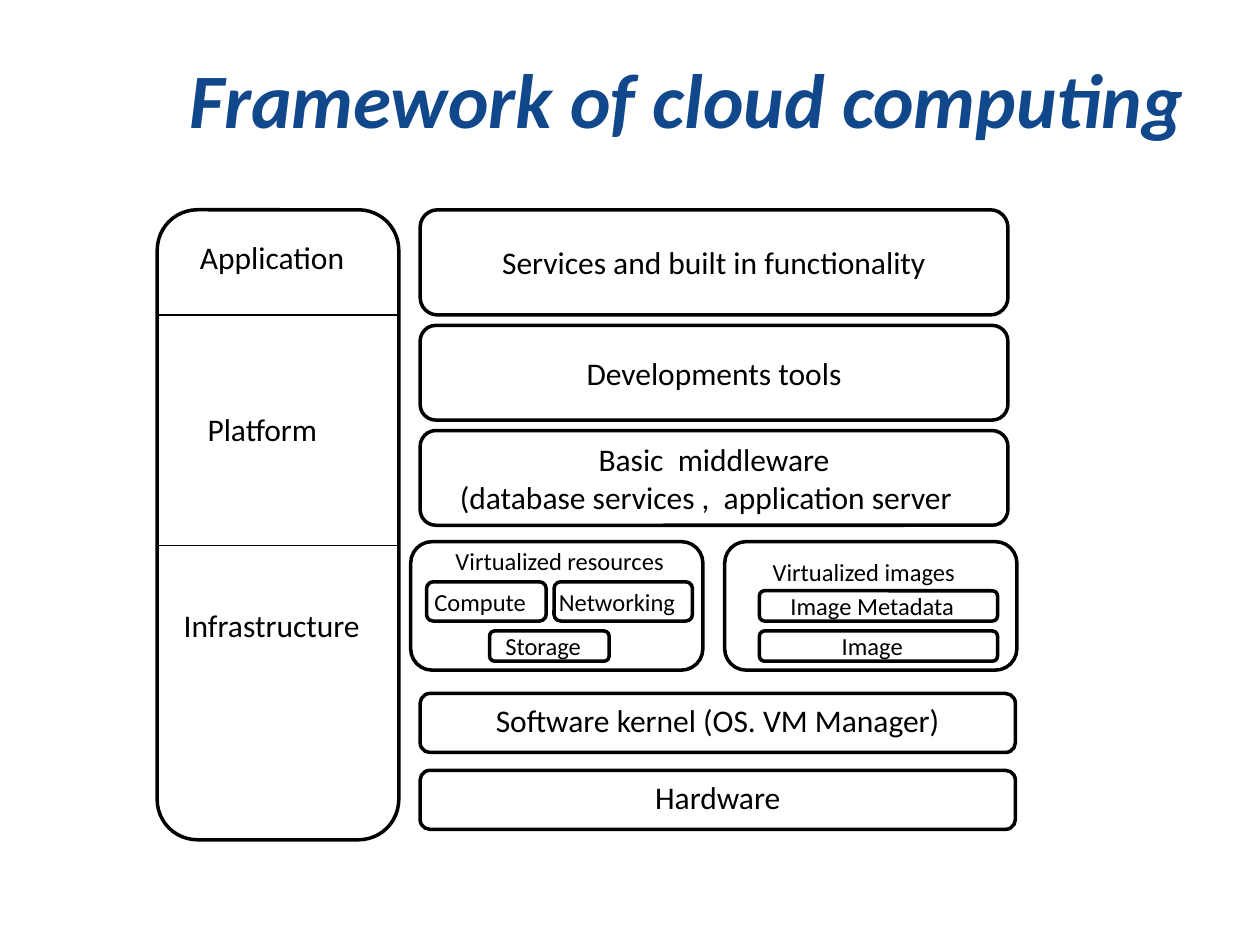
"""Build the cloud computing framework slide."""
import pptx
import pptx.dml.color
import pptx.enum.shapes
import pptx.enum.text
import pptx.util
from lxml import etree
from pptx.enum.shapes import MSO_CONNECTOR, MSO_SHAPE
from pptx.enum.text import MSO_ANCHOR, MSO_AUTO_SIZE, PP_ALIGN
from pptx.oxml.ns import qn
from pptx.util import Cm

BLACK = pptx.dml.color.RGBColor(0x00, 0x00, 0x00)
WHITE = pptx.dml.color.RGBColor(0xFF, 0xFF, 0xFF)
BLUE = pptx.dml.color.RGBColor(0x11, 0x47, 0x8B)
PLAIN = (0.25, 0.13, 0.25, 0.13)
SHIFTED = (0, 0.13, 0.25, 0.13)
RAISED = (0.25, 0, 0.25, 0.13)


def write(tf, text, size=18, color=BLACK, align=PP_ALIGN.CENTER,
          bold=False, italic=False, insets=PLAIN, wrap=True, last_indent=0):
    tf.word_wrap = wrap
    tf.auto_size = MSO_AUTO_SIZE.NONE
    tf.vertical_anchor = MSO_ANCHOR.MIDDLE
    tf.margin_left, tf.margin_top, tf.margin_right, tf.margin_bottom = map(Cm, insets)
    for i, line in enumerate(text.split("\n")):
        p = tf.add_paragraph() if i else tf.paragraphs[0]
        p.alignment = align
        r = p.add_run()
        r.text = line
        r.font.name = "Calibri"
        r.font.size = pptx.util.Pt(size)
        r.font.bold = bold
        r.font.italic = italic
        r.font.color.rgb = color
    if last_indent:
        p._p.get_or_add_pPr().set("marR", str(Cm(last_indent)))


class Diagram:
    def __init__(self, slide, line_color=BLACK):
        self.s = slide
        self.line_color = line_color

    def title(self, text, x, y, w, h):
        sp = self.s.shapes.title
        sp.left, sp.top, sp.width, sp.height = map(Cm, (x, y, w, h))
        write(sp.text_frame, text, size=44, color=BLUE, align=PP_ALIGN.RIGHT,
              bold=True, italic=True)

    def box(self, x, y, w, h, text="", filled=False, outlined=True, **fmt):
        sp = self.s.shapes.add_shape(MSO_SHAPE.ROUNDED_RECTANGLE,
                                     Cm(x), Cm(y), Cm(w), Cm(h))
        sp.shadow.inherit = False
        if filled:
            sp.fill.solid()
            sp.fill.fore_color.rgb = WHITE
        else:
            sp.fill.background()
        if outlined:
            sp.line.color.rgb = self.line_color
            sp.line.width = pptx.util.Pt(2)
        else:
            sp.line.fill.background()
        if text:
            write(sp.text_frame, text, **fmt)

    def label(self, x, y, w, h, text, **fmt):
        self.box(x, y, w, h, text, outlined=False, **fmt)

    def divider(self, x, y, w):
        c = self.s.shapes.add_connector(MSO_CONNECTOR.STRAIGHT,
                                        Cm(x), Cm(y), Cm(x + w), Cm(y))
        c.line.color.rgb = self.line_color
        c.line.width = pptx.util.Pt(0.75)
        etree.SubElement(c._element.spPr, qn("a:effectLst"))


def main():
    prs = pptx.Presentation()
    prs.slide_width, prs.slide_height = Cm(25.4), Cm(19.05)
    d = Diagram(prs.slides.add_slide(prs.slide_layouts[5]))
    d.title("Framework of cloud computing", 1.27, 0.76, 22.86, 2.41)

    for x in (8.28, 14.61):
        d.box(x, 10.92, 5.89, 2.59)
    for x, y, text in ((8.68, 11, "Virtualized resources"),
                       (14.81, 11.23, "Virtualized images")):
        d.label(x, y, 5.21, 0.61, text, filled=True, size=14)
    for x, y, w, h, text in (
        (8.6, 11.73, 2.41, 0.79, "Compute"),
        (11.17, 11.73, 2.79, 0.79, "Networking"),
        (9.87, 12.72, 2.41, 0.61, "Storage"),
        (15.31, 11.91, 4.8, 0.61, "Image Metadata"),
        (15.31, 12.72, 4.8, 0.61, "Image"),
    ):
        d.box(x, y, w, h, text, filled=True, size=14, insets=SHIFTED)

    for y, text in ((13.98, "Software kernel (OS. VM Manager)"), (15.53, "Hardware")):
        d.box(8.47, y, 12, 1.19, text, filled=True, insets=RAISED, wrap=False)

    d.box(3.17, 4.23, 4.87, 12.7)
    for y in (6.35, 11):
        d.divider(3.17, y, 4.87)
    for x, y, w, h, text, filled in (
        (3.81, 4.45, 3.6, 1.47, "Application", True),
        (4.02, 8.26, 2.79, 0.79, "Platform", False),
        (3.6, 12.07, 4.01, 1.07, "Infrastructure", True),
    ):
        d.label(x, y, w, h, text, filled=filled, insets=SHIFTED)

    for y, h, text, indent in (
        (8.68, 1.91, "Basic  middleware\n(database services ,  application server", 0.32),
        (6.56, 1.91, "Developments tools", 0),
        (4.23, 2.12, "Services and built in functionality", 0),
    ):
        d.box(8.47, y, 11.85, h, text, last_indent=indent)

    prs.save("out.pptx")


if __name__ == "__main__":
    main()
